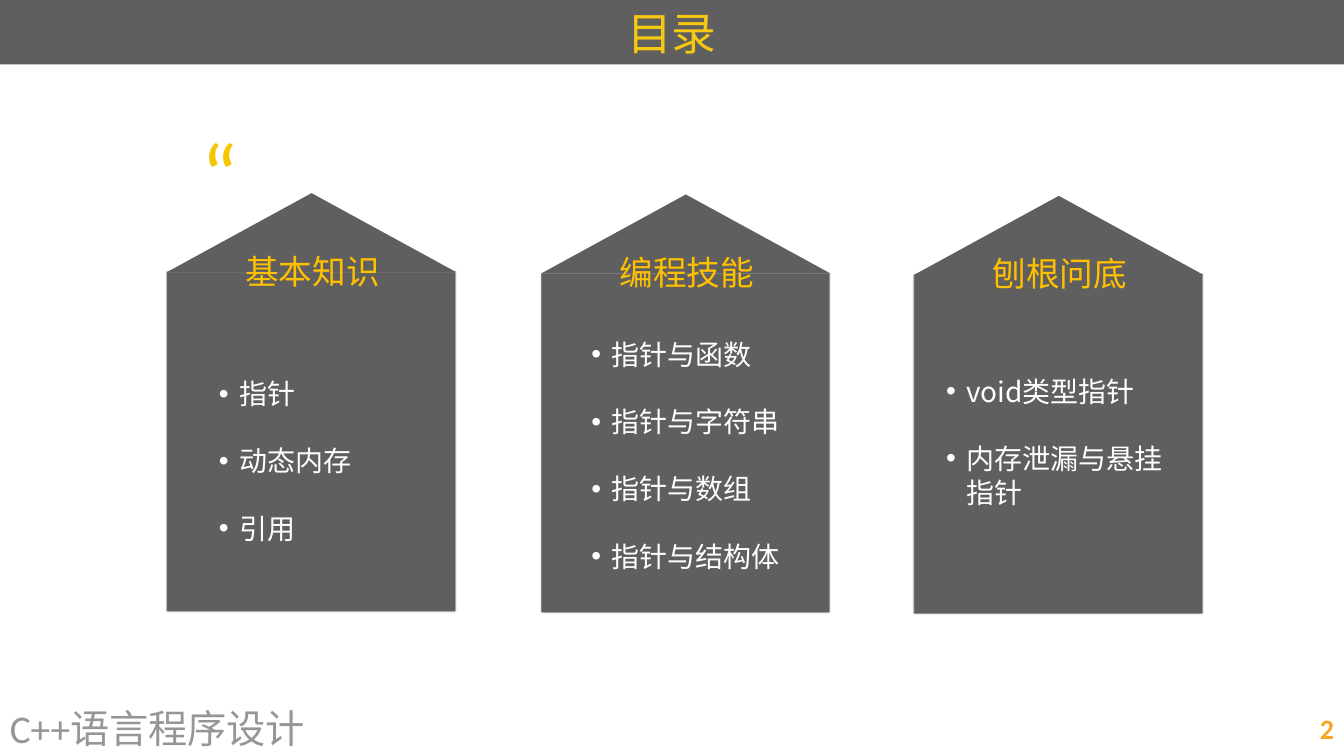
"""Build the contents slide of a C++ course: three house-shaped cards under a title bar."""
from lxml.etree import SubElement
from pptx import Presentation
from pptx.dml.color import RGBColor
from pptx.enum.shapes import MSO_SHAPE
from pptx.enum.text import MSO_ANCHOR, PP_ALIGN
from pptx.oxml.ns import qn
from pptx.util import Inches, Pt

GREY = RGBColor(0x5F, 0x5F, 0x5F)
FOOTER_GREY = RGBColor(0x96, 0x96, 0x96)
TITLE_YELLOW = RGBColor(0xF6, 0xC8, 0x13)
QUOTE_YELLOW = RGBColor(0xF6, 0xC7, 0x00)
HEADING_YELLOW = RGBColor(0xFF, 0xC0, 0x00)
NUMBER_ORANGE = RGBColor(0xF8, 0xA7, 0x20)
WHITE = RGBColor(0xFF, 0xFF, 0xFF)

COLUMNS, ROWS = 160, 90
CELL = Inches(7.5) / ROWS
INSET = Inches(0.06)
LINE = 4
ROOF_WIDTH, ROOF_HEIGHT = 34.5, 9.42


def grid(*cells):
    return [round(cell * CELL) for cell in cells]


def write(box, lines, size, color, font="Calibri", bold=False, align=PP_ALIGN.LEFT,
          anchor=MSO_ANCHOR.MIDDLE, inset=None, spacing=None, gap=None, bullet=None):
    frame = box.text_frame
    frame.word_wrap = True
    frame.vertical_anchor = anchor
    if inset is not None:
        frame.margin_left = frame.margin_right = inset
        frame.margin_top = frame.margin_bottom = inset
    for index, line in enumerate(lines):
        para = frame.paragraphs[0] if index == 0 else frame.add_paragraph()
        if bullet:
            properties = para._p.get_or_add_pPr()
            properties.set("marL", str(Inches(0.2)))
            properties.set("indent", str(-Inches(0.2)))
            SubElement(properties, qn("a:buFont"), typeface="Arial")
            SubElement(properties, qn("a:buChar"), char=bullet)
        para.alignment = align
        if spacing:
            para.line_spacing = spacing
        if gap and index:
            para.space_before = gap
        span = para.add_run()
        span.text = line
        span.font.name = font
        span.font.size = Pt(size)
        span.font.bold = bold
        span.font.color.rgb = color


deck = Presentation()
deck.slide_width, deck.slide_height = grid(COLUMNS, ROWS)
page = deck.slides.add_slide(deck.slide_layouts[6])
shapes = page.shapes

title_bar = shapes.add_shape(MSO_SHAPE.RECTANGLE, *grid(0, 0, COLUMNS, 7.68))
title_bar.shadow.inherit = False
title_bar.fill.solid()
title_bar.fill.fore_color.rgb = GREY
title_bar.line.fill.background()
write(title_bar, ["目录"], 32, TITLE_YELLOW, align=PP_ALIGN.CENTER)

footer = shapes.add_textbox(*grid(0, 83.4, 105.36, 6.6))
write(footer, ["C++语言程序设计"], 28, FOOTER_GREY)
page_number = shapes.add_textbox(*grid(114.72, 83.4, 45.28, 6.6))
write(page_number, ["2"], 20, NUMBER_ORANGE, bold=True, align=PP_ALIGN.RIGHT)

cards = [
    ("基本知识", ["指针", "动态内存", "引用"], 19.84, 5.5, 31.2, 54.84, 5),
    ("编程技能", ["指针与函数", "指针与字符串", "指针与数组", "指针与结构体"],
     64.4, 5.3, 31, 54.18, 7),
    ("刨根问底", ["void类型指针", "内存泄漏与悬挂指针"], 108.8, 3.1, 28.4, 52.56, 4),
]
for index, (heading, items, left, indent, width, middle, line_count) in enumerate(cards):
    top = 23 + 0.16 * index
    eaves = top + ROOF_HEIGHT

    body = shapes.add_shape(MSO_SHAPE.RECTANGLE, *grid(left + 0.06, eaves, 34.3, 40.3))
    body.shadow.inherit = False
    effects = body._element.spPr.find(qn("a:effectLst"))

    builder = shapes.build_freeform(*grid(left + ROOF_WIDTH / 2, top), scale=1)
    builder.add_line_segments([grid(left + ROOF_WIDTH, eaves), grid(left, eaves)], close=True)
    roof = builder.convert_to_shape()
    roof.shadow.inherit = False

    for part in (body, roof):
        part.fill.solid()
        part.fill.fore_color.rgb = GREY
        part.line.fill.background()

    shadow = SubElement(effects, qn("a:outerShdw"), blurRad=str(Pt(1)), dist="0",
                        dir="5400000", rotWithShape="0")
    shade = SubElement(shadow, qn("a:srgbClr"), val="000000")
    SubElement(shade, qn("a:alpha"), val="50000")

    if index == 0:
        quote = shapes.add_textbox(*grid(23.28, 21.24, 9.84, 6.12))
        write(quote, ["“"], 62.5, QUOTE_YELLOW, anchor=MSO_ANCHOR.BOTTOM, inset=INSET,
              spacing=Pt(40))

    height = line_count * LINE + 1.44
    topics = shapes.add_textbox(*grid(left + indent, middle - height / 2, width, height))
    write(topics, items, 20, WHITE, font="Noto Sans CJK SC", inset=INSET,
          spacing=Pt(24), gap=Pt(24), bullet="•")

    label = shapes.add_textbox(*grid(left + 8.64, top + 6.12, 18.96, 6.24))
    write(label, [heading], 24, HEADING_YELLOW, font="Noto Sans CJK SC", inset=INSET)

deck.save("out.pptx")
